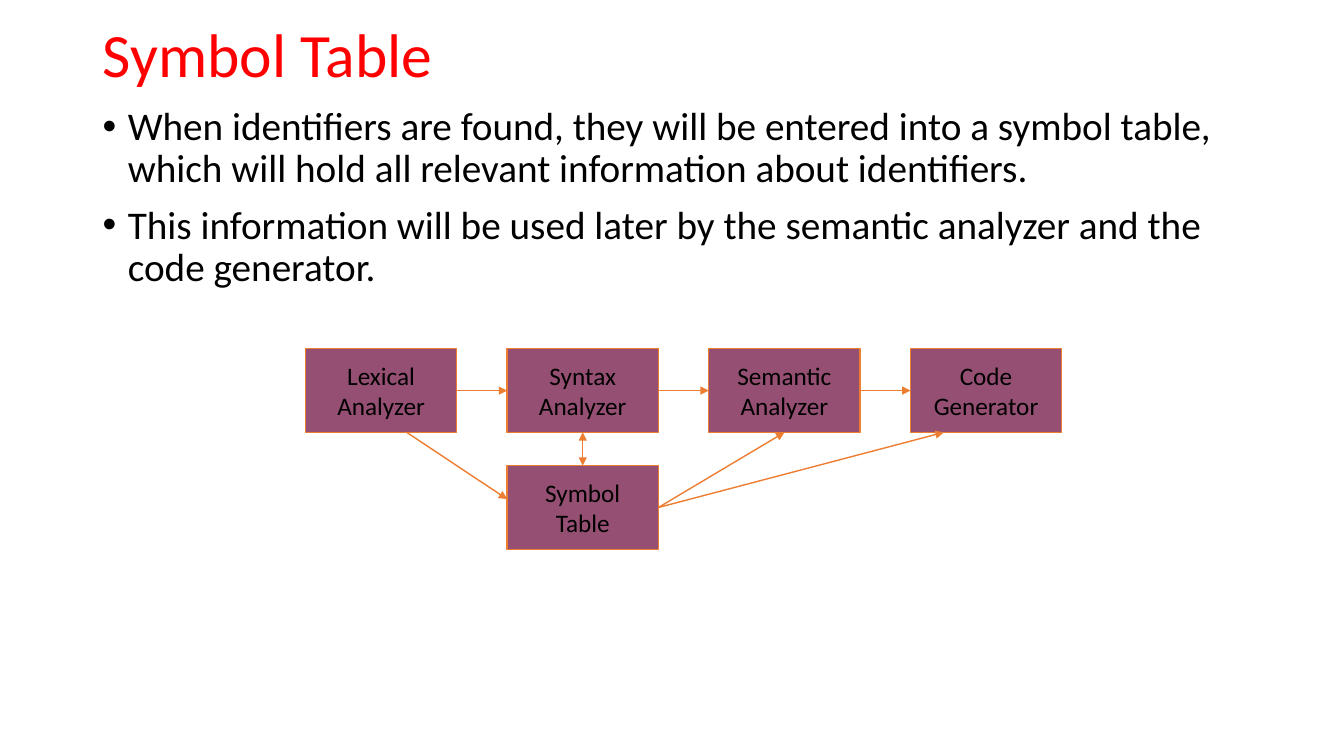
from lxml.etree import SubElement
from pptx import Presentation
from pptx.dml.color import RGBColor
from pptx.enum.shapes import MSO_CONNECTOR, MSO_SHAPE
from pptx.enum.text import MSO_ANCHOR, PP_ALIGN
from pptx.oxml.ns import qn
from pptx.util import Inches, Pt

COLORS = {"title": "FF0000", "text": "000000", "box": "954F72", "line": "ED7D31"}
FONT = "Calibri"
BOX_WIDTH, BOX_HEIGHT = 1.5, 0.83
COLUMN_STEP, ROW_STEP = 2, 1.16

BULLETS = [
    "When identifiers are found, they will be entered into a symbol table, "
    "which will hold all relevant information about identifiers.",
    "This information will be used later by the semantic analyzer and the code generator.",
]

# Box name: (label, column, row)
BOXES = {
    "lexical": ("Lexical\nAnalyzer", 0, 0),
    "syntax": ("Syntax\nAnalyzer", 1, 0),
    "semantic": ("Semantic\nAnalyzer", 2, 0),
    "generator": ("Code\nGenerator", 3, 0),
    "table": ("Symbol\nTable", 1, 1),
}

# Each end: box name, then the point as fractions of the box width and height
ARROWS = [
    (("lexical", 1, 0.5), ("syntax", 0, 0.5), ["tailEnd"]),
    (("syntax", 1, 0.5), ("semantic", 0, 0.5), ["tailEnd"]),
    (("semantic", 1, 0.5), ("generator", 0, 0.5), ["tailEnd"]),
    (("lexical", 0.67, 1), ("table", 0, 0.4), ["tailEnd"]),
    (("table", 1, 0.5), ("semantic", 0.5, 1), ["tailEnd"]),
    (("table", 1, 0.5), ("generator", 0.22, 1), ["tailEnd"]),
    (("syntax", 0.5, 1), ("table", 0.5, 0), ["headEnd", "tailEnd"]),
]


def color(name):
    return RGBColor.from_string(COLORS[name])


def format_runs(para, size, color_name):
    for span in para.runs:
        span.font.name = FONT
        span.font.size = Pt(size)
        span.font.color.rgb = color(color_name)


def add_title(page, left, top, width, height):
    title = page.shapes.title
    title.left, title.top = Inches(left), Inches(top)
    title.width, title.height = Inches(width), Inches(height)
    title.text_frame.text = "Symbol Table"
    title.text_frame.vertical_anchor = MSO_ANCHOR.MIDDLE
    para = title.text_frame.paragraphs[0]
    para.alignment = PP_ALIGN.LEFT
    para.line_spacing = 0.9
    format_runs(para, 44, "title")


def add_bullets(page, left, top, width, height):
    box = page.shapes.add_textbox(Inches(left), Inches(top), Inches(width), Inches(height))
    frame = box.text_frame
    frame.word_wrap = True
    frame.text = "\n".join(BULLETS)
    for index, para in enumerate(frame.paragraphs):
        properties = para._p.get_or_add_pPr()
        properties.set("marL", str(Inches(0.25)))
        properties.set("indent", str(-Inches(0.25)))
        SubElement(properties, qn("a:buFont")).set("typeface", "Arial")
        SubElement(properties, qn("a:buChar")).set("char", "•")
        para.line_spacing = 0.9
        para.space_before = Pt(10 if index else 0)
        format_runs(para, 28, "text")


def add_box(page, label, left, top):
    box = page.shapes.add_shape(
        MSO_SHAPE.RECTANGLE, Inches(left), Inches(top), Inches(BOX_WIDTH), Inches(BOX_HEIGHT)
    )
    box.shadow.inherit = False
    box.fill.solid()
    box.fill.fore_color.rgb = color("box")
    box.line.color.rgb = color("line")
    box.line.width = Pt(1)
    frame = box.text_frame
    frame.word_wrap = False
    frame.vertical_anchor = MSO_ANCHOR.MIDDLE
    frame.text = label
    for para in frame.paragraphs:
        para.alignment = PP_ALIGN.CENTER
        format_runs(para, 18, "text")


def add_arrow(page, start, end, heads):
    points = [Inches(value) for value in (*start, *end)]
    arrow = page.shapes.add_connector(MSO_CONNECTOR.STRAIGHT, *points)
    arrow.line.color.rgb = color("line")
    arrow.line.width = Pt(1)
    outline = arrow.line._get_or_add_ln()
    for head in heads:
        SubElement(outline, qn(f"a:{head}")).set("type", "triangle")
    SubElement(arrow._element.spPr, qn("a:effectLst"))


def add_diagram(page, left, top):
    corners = {}
    for name, (label, column, row) in BOXES.items():
        corners[name] = (left + column * COLUMN_STEP, top + row * ROW_STEP)
        add_box(page, label, *corners[name])

    def point_on(name, across, down):
        box_left, box_top = corners[name]
        return box_left + across * BOX_WIDTH, box_top + down * BOX_HEIGHT

    for start, end, heads in ARROWS:
        add_arrow(page, point_on(*start), point_on(*end), heads)


def main():
    deck = Presentation()
    deck.slide_width, deck.slide_height = Inches(13.33), Inches(7.5)
    page = deck.slides.add_slide(deck.slide_layouts.get_by_name("Title Only"))
    add_title(page, 0.92, 0.18, 11.5, 0.78)
    add_bullets(page, 0.92, 1.01, 11.5, 5.59)
    add_diagram(page, 3.03, 3.46)
    deck.save("out.pptx")


if __name__ == "__main__":
    main()
